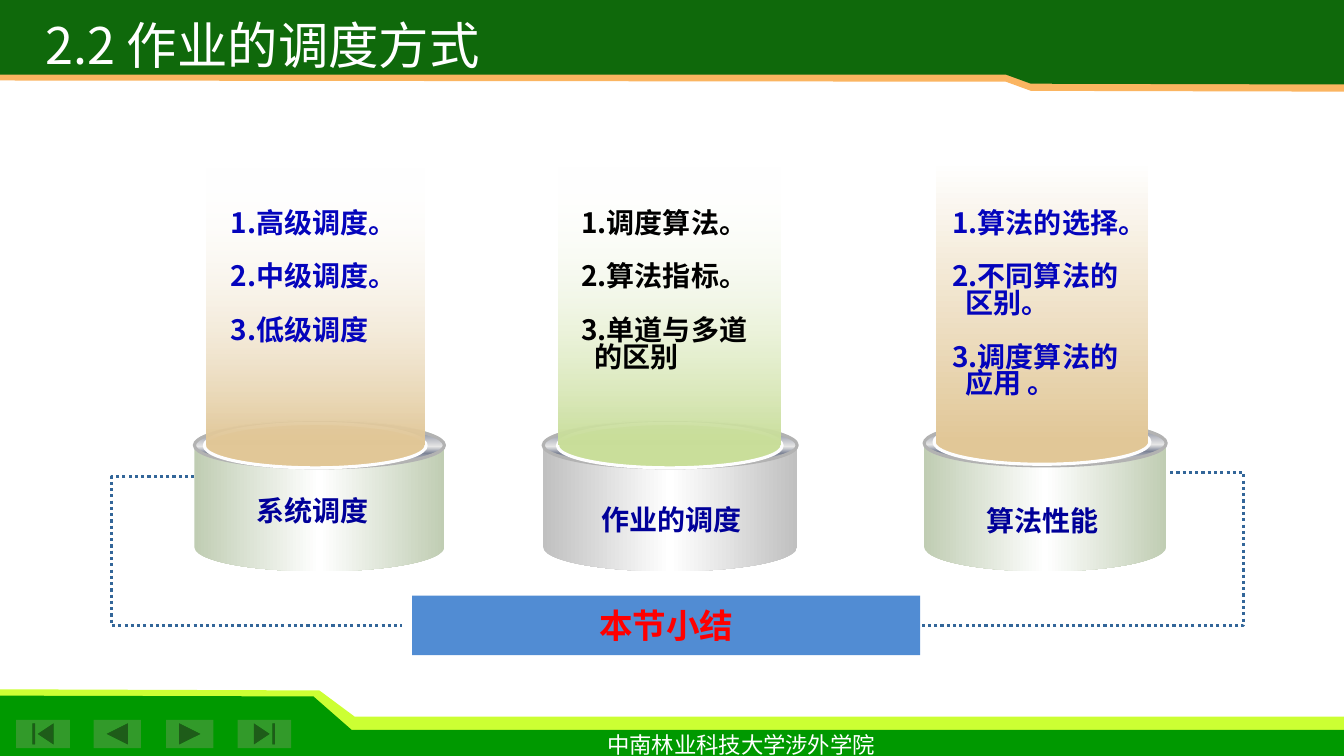
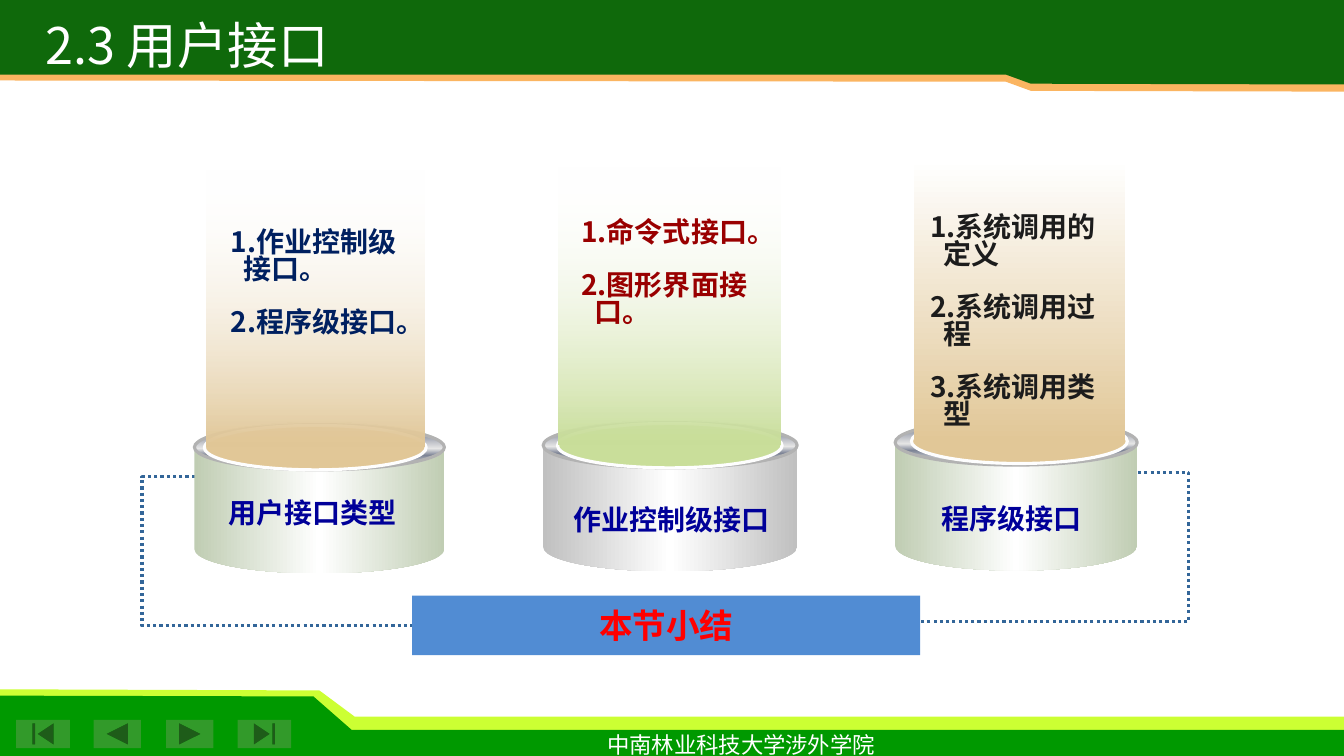
from dataclasses import dataclass

from pptx import Presentation
from pptx.dml.color import RGBColor
from pptx.enum.dml import MSO_LINE
from pptx.enum.shapes import MSO_CONNECTOR, MSO_SHAPE as Shape
from pptx.enum.text import MSO_ANCHOR, MSO_AUTO_SIZE, PP_ALIGN
from pptx.oxml import parse_xml
from pptx.oxml.ns import nsdecls, qn
from pptx.util import Cm, Pt


@dataclass(frozen=True)
class Theme:
    body_font: str = "Arial"
    title_font: str = "Noto Sans CJK SC"
    footer_font: str = "Times New Roman"
    title_size: int = 36
    banner_size: int = 24
    text_size: int = 20
    footer_size: int = 16
    outline: float = 2.25
    white: str = "FFFFFF"
    dark_green: str = "0F690B"
    orange: str = "FBB561"
    lime: str = "CCFF33"
    green: str = "009900"
    button: str = "329A2A"
    banner: str = "518CD3"
    banner_text: str = "FF0000"
    connector: str = "336699"
    label: str = "000099"
    ring_line: str = "B2B2B2"
    disc_line: str = "FEFEFE"
    sage: str = "C0CDB3"
    silver: str = "C0C0C0"
    tan: str = "E1C797"
    leaf: str = "C9DE9A"


T = Theme()
WIDTH, HEIGHT = 33.87, 19.05
RING_STOPS = [(0, "E6E6E6"), (15, "7D8496"), (53, "E6E6E6"),
              (68, "7D8496"), (93, "E6E6E6"), (100, T.white)]


@dataclass(frozen=True)
class Band:
    colour: str
    points: list[tuple[float, float]]


@dataclass(frozen=True)
class Button:
    kind: Shape
    x: float
    w: float


@dataclass(frozen=True)
class DrumStyle:
    side: str
    glow: str
    w: float
    h: float
    disc_w: float
    disc_dy: float
    beam_w: float
    beam_h: float
    beam_top_alpha: int


@dataclass(frozen=True)
class Drum:
    """A can with a beam of light above it; the beam holds numbered points."""
    style: DrumStyle
    x: float
    y: float
    disc_dx: float
    label: str
    label_x: float
    label_y: float
    points: list[str]
    points_x: float
    points_y: float
    colour: str


@dataclass(frozen=True)
class Link:
    """A dotted line that leaves start sideways, turns at turn_x and comes back to end."""
    start: tuple[float, float]
    turn_x: float
    end: tuple[float, float]


@dataclass(frozen=True)
class Summary:
    title: str
    links: list[Link]
    drums: list[Drum]


BANDS = [
    Band(T.lime, [(0, 17.37), (8.05, 17.4), (8.94, 18.06), (WIDTH, 18.06),
                  (WIDTH, 18.8), (0, 18.8)]),
    Band(T.green, [(0, 17.53), (7.9, 17.55), (8.86, 18.39), (WIDTH, 18.39),
                   (WIDTH, HEIGHT), (0, HEIGHT)]),
    Band(T.orange, [(0, 0), (WIDTH, 0), (WIDTH, 2.31), (25.98, 2.29),
                    (25.35, 2.06), (0, 2.03)]),
    Band(T.dark_green, [(0, 0), (WIDTH, 0), (WIDTH, 2.13), (25.98, 2.11),
                        (25.35, 1.88), (0, 1.88)]),
]
BUTTONS = [
    Button(Shape.ACTION_BUTTON_BEGINNING, 0.41, 1.35),
    Button(Shape.ACTION_BUTTON_BACK_OR_PREVIOUS, 2.36, 1.19),
    Button(Shape.ACTION_BUTTON_FORWARD_OR_NEXT, 4.19, 1.19),
    Button(Shape.ACTION_BUTTON_END, 5.99, 1.35),
]

LEFT = DrumStyle(T.sage, T.tan, 6.3, 3.81, 5.59, 0.08, 5.49, 7.01, 0)
MIDDLE = DrumStyle(T.silver, T.leaf, 6.4, 3.81, 5.66, 0.08, 5.59, 7.01, 0)
RIGHT = DrumStyle(T.sage, T.tan, 6.1, 3.86, 5.44, 0.04, 5.33, 7.11, 100)

SUMMARIES = [
    Summary("2.2 作业的调度方式", [
        Link((4.9, 12.01), 2.82, (10.13, 15.77)),
        Link((29.49, 11.91), 31.34, (23.19, 15.77)),
    ], [
        Drum(LEFT, 4.9, 10.59, 0.25, "系统调度", 4.37, 12.32,
             ["高级调度。", "中级调度。", "低级调度"], 5.56, 5.21, "0404BC"),
        Drum(MIDDLE, 13.69, 10.59, 0.36, "作业的调度", 13.43, 12.55,
             ["调度算法。", "算法指标。", "单道与多道的区别"], 14.4, 5.21, "000000"),
        Drum(RIGHT, 23.29, 10.54, 0.25, "算法性能", 22.78, 12.57,
             ["算法的选择。", "不同算法的区别。", "调度算法的应用 。"], 23.75, 5.21, "0404BC"),
    ]),
    Summary("2.3 用户接口", [
        Link((6.65, 12.01), 3.58, (10.39, 15.77)),
        Link((27.1, 11.91), 29.95, (23.14, 15.67)),
    ], [
        Drum(LEFT, 4.9, 10.64, 0.25, "用户接口类型", 4.37, 12.37,
             ["作业控制级接口。", "程序级接口。"], 5.56, 5.69, "002060"),
        Drum(MIDDLE, 13.69, 10.59, 0.36, "作业控制级接口", 13.43, 12.55,
             ["命令式接口。", "图形界面接口。"], 14.4, 5.44, "990000"),
        Drum(RIGHT, 22.56, 10.52, 0.41, "程序级接口", 21.99, 12.5,
             ["系统调用的定义", "系统调用过程", "系统调用类型"], 23.19, 5.31, "1C1C1C"),
    ]),
]


def rgb(colour: str) -> RGBColor:
    return RGBColor.from_string(colour)


def style_font(p, font: str, size: int, colour: str, bold: bool = False) -> None:
    for r in p.runs:
        r.font.name, r.font.size, r.font.bold = font, Pt(size), bold
        r.font.color.rgb = rgb(colour)


def finish(sp, fill: str | None = None, line: str | None = None) -> None:
    sp.shadow.inherit = False
    if fill:
        sp.fill.solid()
        sp.fill.fore_color.rgb = rgb(fill)
    if line:
        sp.line.color.rgb = rgb(line)
        sp.line.width = Pt(T.outline)
    else:
        sp.line.fill.background()


def add_shape(s, kind: Shape, x: float, y: float, w: float, h: float,
              fill: str | None = None, line: str | None = None):
    sp = s.shapes.add_shape(kind, Cm(x), Cm(y), Cm(w), Cm(h))
    finish(sp, fill, line)
    return sp


def set_gradient(sp, stops: list[tuple], angle: int) -> None:
    """Fill with stops of (percent, colour[, alpha percent]) at a clockwise angle."""
    marks = ""
    for pos, colour, *alpha in stops:
        clear = f'<a:alpha val="{alpha[0] * 1000}"/>' if alpha else ""
        marks += (f'<a:gs pos="{pos * 1000}"><a:srgbClr val="{colour}">'
                  f'{clear}</a:srgbClr></a:gs>')
    sp.fill.gradient()
    spPr = sp.element.spPr
    spPr.replace(spPr.find(qn("a:gradFill")), parse_xml(
        f'<a:gradFill {nsdecls("a")} rotWithShape="1"><a:gsLst>{marks}</a:gsLst>'
        f'<a:lin ang="{angle * 60000}" scaled="1"/></a:gradFill>'))


def add_text(s, text: str, x: float, y: float, w: float, h: float, font: str,
             size: int, colour: str, bold: bool = False, wrap: bool = True):
    box = s.shapes.add_textbox(Cm(x), Cm(y), Cm(w), Cm(h))
    tf = box.text_frame
    tf.word_wrap = wrap
    tf.text = text
    p = tf.paragraphs[0]
    p.alignment = PP_ALIGN.CENTER
    style_font(p, font, size, colour, bold)
    return box


def add_points(s, drum: Drum) -> None:
    box = s.shapes.add_textbox(Cm(drum.points_x), Cm(drum.points_y), Cm(5.11), Cm(5.05))
    tf = box.text_frame
    tf.word_wrap = True
    for i, point in enumerate(drum.points):
        p = tf.add_paragraph() if i else tf.paragraphs[0]
        p.text = point
        p.line_spacing = 0.8
        if i:
            p.space_before = Pt(19)
        pPr = p._p.get_or_add_pPr()
        pPr.set("marL", str(Cm(0.33)))
        pPr.set("indent", str(-Cm(0.33)))
        pPr.append(parse_xml(f'<a:buFont {nsdecls("a")} typeface="{T.title_font}"/>'))
        pPr.append(parse_xml(f'<a:buAutoNum {nsdecls("a")} type="arabicPeriod"/>'))
        style_font(p, T.body_font, T.text_size, drum.colour, True)


def add_drum(s, drum: Drum) -> None:
    st = drum.style
    can = add_shape(s, Shape.CAN, drum.x, drum.y, st.w, st.h)
    can.adjustments[0] = 0.32
    set_gradient(can, [(0, st.side), (50, T.white), (100, st.side)], 0)
    ring = add_shape(s, Shape.OVAL, drum.x, drum.y + 0.06, st.w, 1.14, line=T.ring_line)
    set_gradient(ring, RING_STOPS, 90)
    disc_x = drum.x + drum.disc_dx
    add_shape(s, Shape.OVAL, disc_x, drum.y + st.disc_dy, st.disc_w, 1.12,
              st.glow, T.disc_line)
    beam_x = disc_x + (st.disc_w - st.beam_w) / 2
    beam = add_shape(s, Shape.RECTANGLE, beam_x, drum.y + 0.61 - st.beam_h,
                     st.beam_w, st.beam_h)
    set_gradient(beam, [(0, T.white, st.beam_top_alpha), (100, st.glow)], 90)
    add_points(s, drum)
    add_text(s, drum.label, drum.label_x, drum.label_y, 7, 1.12,
             T.body_font, T.text_size, T.label, True)


def add_link(s, link: Link) -> None:
    (x0, y0), (x1, y1) = link.start, link.end
    line = s.shapes.add_connector(MSO_CONNECTOR.ELBOW, Cm(x0), Cm(y0), Cm(x1), Cm(y1))
    line.line.color.rgb = rgb(T.connector)
    line.line.width = Pt(T.outline)
    line.line.dash_style = MSO_LINE.ROUND_DOT
    spPr = line.element.spPr
    geom = spPr.find(qn("a:prstGeom"))
    for av in geom.findall(qn("a:avLst")):
        geom.remove(av)
    turn = round((link.turn_x - x0) / (x1 - x0) * 100000)
    geom.append(parse_xml(f'<a:avLst {nsdecls("a")}>'
                          f'<a:gd name="adj1" fmla="val {turn}"/></a:avLst>'))
    spPr.append(parse_xml(f'<a:effectLst {nsdecls("a")}/>'))


def add_banner(s) -> None:
    sp = add_shape(s, Shape.RECTANGLE, 10.39, 15.01, 12.8, 1.5, T.banner)
    tf = sp.text_frame
    tf.text = "本节小结"
    tf.vertical_anchor = MSO_ANCHOR.MIDDLE
    tf.paragraphs[0].alignment = PP_ALIGN.CENTER
    style_font(tf.paragraphs[0], T.body_font, T.banner_size, T.banner_text, True)


def add_band(s, band: Band):
    points = [(Cm(x), Cm(y)) for x, y in band.points]
    outline = s.shapes.build_freeform(*points[0])
    outline.add_line_segments(points[1:], close=True)
    sp = outline.convert_to_shape()
    finish(sp, band.colour)
    return sp


def dress_layout(layout, s) -> None:
    """Draw the shared bands, buttons and footer on s, then move them to its layout."""
    for ph in list(layout.placeholders)[1:]:
        layout.shapes.element.remove(ph.element)
    parts = [add_band(s, band) for band in BANDS]
    parts += [add_shape(s, b.kind, b.x, 18.14, b.w, 0.71, T.button) for b in BUTTONS]
    parts.append(add_text(s, "中南林业科技大学涉外学院", 15.01, 18.29, 7.34, 0.94,
                          T.footer_font, T.footer_size, T.white, wrap=False))
    for part in parts:
        layout.shapes.element.append(part.element)


def set_title(s, text: str) -> None:
    title = s.shapes.title
    title.left, title.top, title.width, title.height = Cm(1.15), Cm(0.36), Cm(24), Cm(1.83)
    tf = title.text_frame
    tf.text = text
    tf.auto_size = MSO_AUTO_SIZE.NONE
    tf.vertical_anchor = MSO_ANCHOR.TOP
    tf.margin_left = tf.margin_right = tf.margin_top = tf.margin_bottom = 0
    tf.paragraphs[0].alignment = PP_ALIGN.LEFT
    style_font(tf.paragraphs[0], T.title_font, T.title_size, T.white)


def main() -> None:
    prs = Presentation()
    prs.slide_width, prs.slide_height = Cm(WIDTH), Cm(HEIGHT)
    layout = prs.slide_layouts[5]
    for i, summary in enumerate(SUMMARIES):
        s = prs.slides.add_slide(layout)
        if i == 0:
            dress_layout(layout, s)
        set_title(s, summary.title)
        add_banner(s)
        for link in summary.links:
            add_link(s, link)
        for drum in summary.drums:
            add_drum(s, drum)
    prs.save("out.pptx")


if __name__ == "__main__":
    main()
